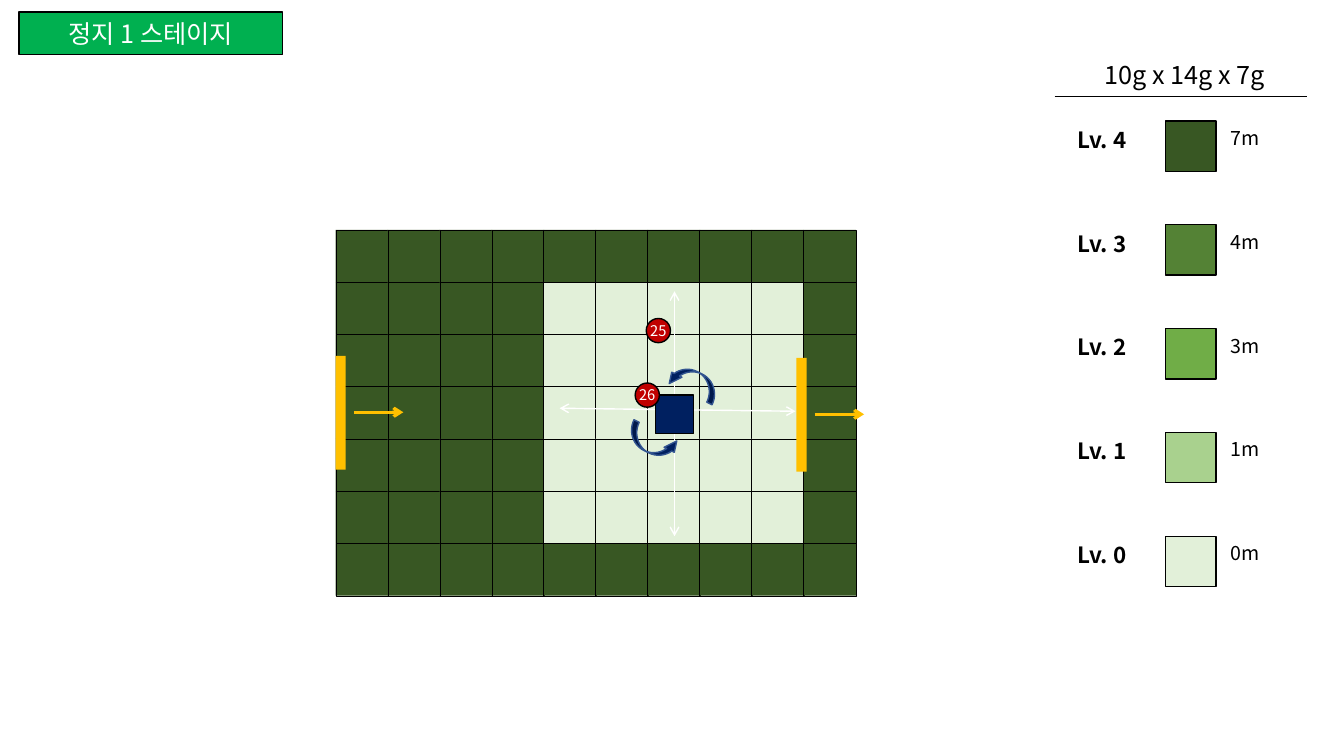
from lxml.etree import SubElement
from pptx import Presentation
from pptx.dml.color import RGBColor
from pptx.enum.shapes import MSO_CONNECTOR, MSO_SHAPE as SHAPE
from pptx.enum.text import MSO_ANCHOR, MSO_AUTO_SIZE, PP_ALIGN
from pptx.oxml.ns import qn
from pptx.util import Inches, Pt

FONT = "Noto Sans CJK KR"
BLACK = RGBColor(0x00, 0x00, 0x00)
WHITE = RGBColor(0xFF, 0xFF, 0xFF)
GREEN = RGBColor(0x00, 0xB0, 0x50)
AMBER = RGBColor(0xFF, 0xC0, 0x00)
NAVY = RGBColor(0x00, 0x20, 0x60)
NAVY_EDGE = RGBColor(0x32, 0x54, 0x90)
RED = RGBColor(0xC0, 0x00, 0x00)
LEVEL_COLORS = [
    RGBColor(0xE2, 0xF0, 0xD9),
    RGBColor(0xA9, 0xD1, 0x8E),
    RGBColor(0x70, 0xAD, 0x47),
    RGBColor(0x54, 0x82, 0x35),
    RGBColor(0x38, 0x57, 0x23),
]
LEVEL_HEIGHTS = ["0m", "1m", "3m", "4m", "7m"]

COLS, ROWS, CELL = 10, 7, 0.52
GRID_LEFT, GRID_TOP = 3.33, 2.28
COL_STEP, ROW_STEP = 4.64 / (COLS - 1), 3.11 / (ROWS - 1)
FLOOR_COLS, FLOOR_ROWS = range(4, 9), range(1, 6)


def write(tf, text, size, color=BLACK, bold=False, align=PP_ALIGN.LEFT):
    tf.text = text
    p = tf.paragraphs[0]
    p.alignment = align
    p.line_spacing = 1.0
    font = p.runs[0].font
    font.name, font.size, font.bold = FONT, Pt(size), bold
    font.color.rgb = color
    SubElement(p.runs[0]._r.get_or_add_rPr(), qn("a:ea"), typeface=FONT)


def paint(s, fill, line, width):
    s.fill.solid()
    s.fill.fore_color.rgb = fill
    if line is None:
        s.line.fill.background()
    else:
        s.line.color.rgb = line
        s.line.width = Pt(width)


def add_shape(slide, kind, left, top, width, height, fill, line=BLACK, weight=1):
    s = slide.shapes.add_shape(
        kind, Inches(left), Inches(top), Inches(width), Inches(height))
    s.shadow.inherit = False
    paint(s, fill, line, weight)
    return s


def add_text(slide, left, top, width, height, text, size, **style):
    box = slide.shapes.add_textbox(
        Inches(left), Inches(top), Inches(width), Inches(height))
    box.text_frame.word_wrap = True
    write(box.text_frame, text, size, **style)


def add_line(slide, x1, y1, x2, y2, color, width, ends=()):
    """Draw a straight line; ends lists which of headEnd and tailEnd get arrows."""
    c = slide.shapes.add_connector(
        MSO_CONNECTOR.STRAIGHT, Inches(x1), Inches(y1), Inches(x2), Inches(y2))
    c.line.color.rgb = color
    c.line.width = Pt(width)
    for end in ends:
        SubElement(c.line._get_or_add_ln(), qn("a:" + end), type="arrow")
    SubElement(c._element.spPr, qn("a:effectLst"))


def add_stage_title(slide, text):
    s = slide.shapes.title
    s.left, s.top, s.width, s.height = (
        Inches(v) for v in (0.19, 0.12, 2.61, 0.42))
    geometry = SubElement(s._element.spPr, qn("a:prstGeom"), prst="roundRect")
    SubElement(geometry, qn("a:avLst"))
    paint(s, GREEN, BLACK, 1)
    tf = s.text_frame
    tf.auto_size = MSO_AUTO_SIZE.NONE
    tf.vertical_anchor = MSO_ANCHOR.MIDDLE
    write(tf, text, 18, WHITE, align=PP_ALIGN.CENTER)


def add_legend(slide):
    add_text(slide, 10.65, 0.54, 2.2, 0.4, "10g x 14g x 7g", 18,
             align=PP_ALIGN.CENTER)
    add_line(slide, 10.46, 0.96, 12.96, 0.96, BLACK, 1)
    for level, (color, height) in enumerate(zip(LEVEL_COLORS, LEVEL_HEIGHTS)):
        top = 5.32 - 1.03 * level
        add_shape(slide, SHAPE.RECTANGLE, 11.56, top, 0.5, 0.5, color)
        add_text(slide, 12.11, top, 0.71, 0.33, height, 14)
        add_text(slide, 10.59, top, 1.07, 0.36, f"Lv. {level}", 16, bold=True)


def add_grid(slide):
    for row in range(ROWS):
        for col in range(COLS):
            is_floor = row in FLOOR_ROWS and col in FLOOR_COLS
            add_shape(slide, SHAPE.RECTANGLE,
                      GRID_LEFT + col * COL_STEP, GRID_TOP + row * ROW_STEP,
                      CELL, CELL, LEVEL_COLORS[0 if is_floor else 4], weight=0.25)


def add_gate(slide, left, top):
    """Draw a gate bar and the arrow that leads right from it."""
    add_shape(slide, SHAPE.RECTANGLE, left, top, 0.1, 1.13, AMBER, line=None)
    middle = top + 0.56
    add_line(slide, left + 0.18, middle, left + 0.67, middle, AMBER, 2.25,
             ["tailEnd"])


def add_turn_arrow(slide, left, top, angle):
    s = add_shape(slide, SHAPE.CURVED_UP_ARROW, left, top, 0.53, 0.23,
                  NAVY, NAVY_EDGE)
    for i, value in enumerate((0.25, 0.49, 0.49)):
        s.adjustments[i] = value
    s.rotation = angle


def add_marker(slide, left, top, number):
    s = add_shape(slide, SHAPE.OVAL, left, top, 0.24, 0.24, RED)
    tf = s.text_frame
    tf.margin_left = tf.margin_right = tf.margin_top = tf.margin_bottom = 0
    tf.word_wrap = False
    tf.vertical_anchor = MSO_ANCHOR.MIDDLE
    write(tf, number, 10.5, WHITE, align=PP_ALIGN.CENTER)


def main():
    prs = Presentation()
    prs.slide_width, prs.slide_height = Inches(13.33), Inches(7.5)
    slide = prs.slides.add_slide(prs.slide_layouts[5])

    add_stage_title(slide, "정지 1 스테이지")
    add_legend(slide)
    add_grid(slide)
    add_gate(slide, 3.33, 3.53)
    add_gate(slide, 7.9, 3.55)

    both_ends = ["headEnd", "tailEnd"]
    add_line(slide, 5.55, 4.05, 7.89, 4.08, WHITE, 1, both_ends)
    add_line(slide, 6.69, 2.89, 6.69, 5.32, WHITE, 1, both_ends)
    add_shape(slide, SHAPE.RECTANGLE, 6.5, 3.92, 0.38, 0.38, NAVY)
    add_turn_arrow(slide, 6.61, 3.68, 206.3)
    add_turn_arrow(slide, 6.21, 4.27, 26.3)
    add_marker(slide, 6.41, 3.16, "25")
    add_marker(slide, 6.3, 3.8, "26")

    prs.save("out.pptx")


if __name__ == "__main__":
    main()
